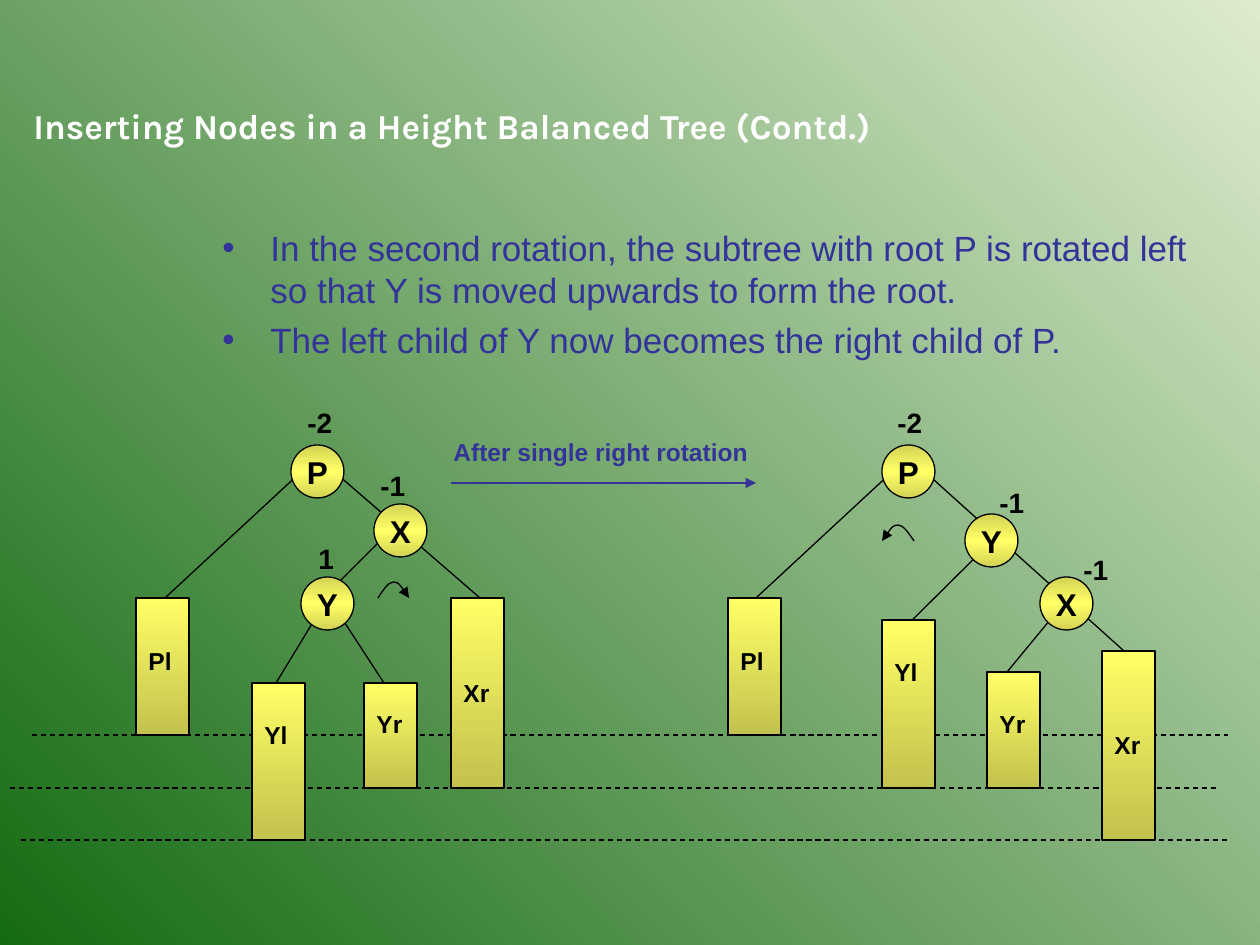
"""Build the slide on rotations in a height balanced tree."""
from copy import deepcopy

from lxml import etree
from pptx import Presentation
from pptx.dml.color import RGBColor
from pptx.enum.dml import MSO_LINE
from pptx.enum.shapes import MSO_CONNECTOR, MSO_SHAPE
from pptx.enum.text import MSO_ANCHOR, MSO_AUTO_SIZE, PP_ALIGN
from pptx.oxml.ns import qn
from pptx.util import Pt

SCALE = 914400 / 126
STRAIGHT = MSO_CONNECTOR.STRAIGHT
OVAL, RECTANGLE = MSO_SHAPE.OVAL, MSO_SHAPE.RECTANGLE
DASH = MSO_LINE.DASH
MIDDLE = MSO_ANCHOR.MIDDLE
CENTER, LEFT = PP_ALIGN.CENTER, PP_ALIGN.LEFT
GROW = MSO_AUTO_SIZE.SHAPE_TO_FIT_TEXT
NODE = 53
LABEL = 54
COLORS = {
    "ink": "000000", "blue": "333399", "title": "FFFFFF",
    "mist": "DDEBCF", "forest": "156B13",
    "yellow": "FFFF66", "olive": "C2C24E", "rim": "D3D354",
}

LEVELS = [(32, 735, 1228), (10, 788, 1218), (21, 840, 1228)]
TREES = [
    {
        "edges": [(396, 525, 323, 598), (343, 620, 384, 683), (321, 609, 270, 693),
                  (323, 462, 480, 598), (301, 472, 165, 598)],
        "bars": [("Pl", 136, 598, 735, 640), ("Yl", 252, 683, 840, 714),
                 ("Yr", 364, 683, 788, 703), ("Xr", 451, 598, 788, 672)],
        "nodes": [("P", 291, 445), ("X", 374, 504), ("Y", 301, 577)],
        "balances": [("-2", 295, 399), ("-1", 368, 462), ("1", 306, 535)],
        "turn": (378, 409, 598),
    },
    {
        "edges": [(1050, 620, 998, 683), (987, 546, 892, 640),
                  (914, 462, 1124, 651), (892, 472, 756, 598)],
        "bars": [("Pl", 728, 598, 735, 640), ("Yl", 882, 620, 788, 651),
                 ("Yr", 987, 672, 788, 703), ("Xr", 1102, 651, 840, 724)],
        "nodes": [("P", 882, 445), ("X", 1040, 577), ("Y", 965, 514)],
        "balances": [("-2", 885, 399), ("-1", 987, 479), ("-1", 1071, 546)],
        "turn": (914, 882, 541),
    },
]
POINTS = [
    "In the second rotation, the subtree with root P is rotated left "
    "so that Y is moved upwards to form the root.",
    "The left child of Y now becomes the right child of P.",
]


def emu(*lengths):
    return [round(length * SCALE) for length in lengths]


def rgb(name):
    return RGBColor.from_string(COLORS[name])


class TreeSlide:
    def __init__(self, page):
        self.page = page
        self.shapes = page.shapes

    def gradient(self, fill, names, angle):
        fill.gradient()
        fill.gradient_angle = angle
        first = fill.gradient_stops[0]._gs
        for _ in names[2:]:
            first.addnext(deepcopy(first))
        for index, (stop, name) in enumerate(zip(fill.gradient_stops, names)):
            stop.color.rgb = rgb(name)
            stop.position = index / (len(names) - 1)

    def outline(self, shape, color="ink", arrow=False):
        shape.line.color.rgb = rgb(color)
        shape.line.width = Pt(0.75)
        if arrow:
            line = shape.line._get_or_add_ln()
            etree.SubElement(line, qn("a:tailEnd"), type="triangle")

    def style(self, paragraph, size, color="ink", bold=True, font="Arial", align=LEFT):
        paragraph.alignment = align
        paragraph.font.name = font
        paragraph.font.size = Pt(size)
        paragraph.font.bold = bold
        paragraph.font.color.rgb = rgb(color)

    def line(self, x1, y1, x2, y2, color="ink", dashed=False, arrow=False):
        connector = self.shapes.add_connector(STRAIGHT, *emu(x1, y1, x2, y2))
        if dashed:
            connector.line.dash_style = DASH
        self.outline(connector, color, arrow)
        etree.SubElement(connector._element.spPr, qn("a:effectLst"))

    def solid(self, kind, x, y, width, height, names):
        shape = self.shapes.add_shape(kind, *emu(x, y, width, height))
        shape.shadow.inherit = False
        self.gradient(shape.fill, names, 270)
        self.outline(shape)
        return shape

    def node(self, name, x, y):
        shape = self.solid(OVAL, x, y, NODE, NODE, ["rim", "yellow", "rim"])
        frame = shape.text_frame
        frame.word_wrap = False
        frame.vertical_anchor = MIDDLE
        frame.text = name
        self.style(frame.paragraphs[0], 18, align=CENTER)

    def bar(self, name, x, top, bottom, label_top):
        self.solid(RECTANGLE, x, top, NODE, bottom - top, ["yellow", "olive"])
        self.text(name, x, label_top, LABEL, 43, 14)

    def text(self, words, x, y, width, height, size, **look):
        box = self.shapes.add_textbox(*emu(x, y, width, height))
        frame = box.text_frame
        frame.word_wrap = True
        frame.auto_size = GROW
        frame.text = words
        self.style(frame.paragraphs[0], size, **look)

    def bullets(self, points, x, y, width, height):
        frame = self.shapes.add_textbox(*emu(x, y, width, height)).text_frame
        frame.word_wrap = True
        frame.text = "\n".join(points)
        indent = emu(48)[0]
        for index, paragraph in enumerate(frame.paragraphs):
            if index:
                paragraph.space_before = Pt(5)
            settings = paragraph._p.get_or_add_pPr()
            settings.set("marL", str(indent))
            settings.set("indent", str(-indent))
            tint = etree.SubElement(settings, qn("a:buClr"))
            etree.SubElement(tint, qn("a:srgbClr"), val=COLORS["blue"])
            etree.SubElement(settings, qn("a:buFont"), typeface="Arial")
            etree.SubElement(settings, qn("a:buChar"), char="•")
            self.style(paragraph, 20, "blue", bold=False)

    def turn(self, start, end, base, rise=16):
        profile = [(1, 0.5), (2, 1), (3, 1), (4, 1), (5, 0.5), (6, 0)]
        points = [emu(start + (end - start) * step / 6, base - rise * lift)
                  for step, lift in profile]
        builder = self.shapes.build_freeform(*emu(start, base))
        builder.add_line_segments(points, close=False)
        shape = builder.convert_to_shape()
        shape.shadow.inherit = False
        shape.fill.background()
        self.outline(shape, arrow=True)
        route = next(shape._element.iter(qn("a:path")))
        segments = route.findall(qn("a:lnTo"))
        for first in (0, 3):
            curve = etree.SubElement(route, qn("a:cubicBezTo"))
            for segment in segments[first:first + 3]:
                curve.append(segment[0])
                route.remove(segment)

    def tree(self, edges, bars, nodes, balances, turn):
        for edge in edges:
            self.line(*edge)
        for bar in bars:
            self.bar(*bar)
        for node in nodes:
            self.node(*node)
        for value, x, y in balances:
            self.text(value, x, y, LABEL, 47, 16)
        self.turn(*turn)


def main():
    deck = Presentation()
    deck.slide_width, deck.slide_height = emu(1260, 945)
    slide = TreeSlide(deck.slides.add_slide(deck.slide_layouts[6]))
    slide.gradient(slide.page.background.fill, ["mist", "forest"], 225)
    for left, level, right in LEVELS:
        slide.line(left, level, right, level, dashed=True)
    slide.bullets(POINTS, 210, 220, 1008, 630)
    for tree in TREES:
        slide.tree(**tree)
    slide.line(451, 483, 756, 483, "blue", arrow=True)
    slide.text("After single right rotation", 441, 431, 336, 43, 14, color="blue")
    slide.text("Inserting Nodes in a Height Balanced Tree (Contd.)",
               21, 98, 1239, 55, 20, color="title", font="Karla")
    deck.save("out.pptx")


if __name__ == "__main__":
    main()
